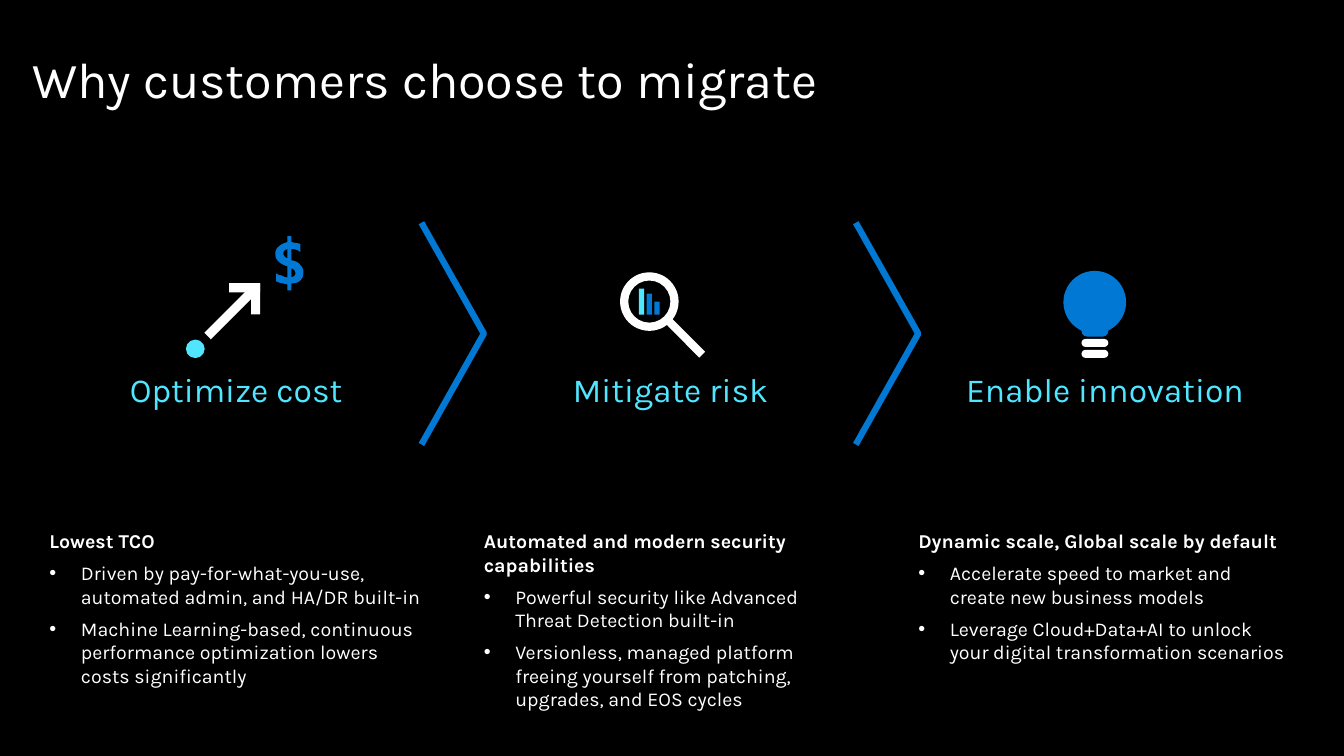
from dataclasses import dataclass

from lxml.etree import SubElement
from pptx import Presentation
from pptx.dml.color import RGBColor
from pptx.enum.shapes import MSO_SHAPE
from pptx.enum.text import MSO_ANCHOR, MSO_AUTO_SIZE, PP_ALIGN
from pptx.oxml.ns import qn
from pptx.util import Pt


@dataclass(frozen=True)
class Theme:
    font: str = "Karla"
    black: RGBColor = RGBColor(0x00, 0x00, 0x00)
    white: RGBColor = RGBColor(0xFF, 0xFF, 0xFF)
    blue: RGBColor = RGBColor(0x00, 0x78, 0xD4)
    cyan: RGBColor = RGBColor(0x50, 0xE6, 0xFF)
    title_size: int = 36
    heading_size: int = 24
    body_size: int = 14
    chevron_width: float = 4.5


def set_all(target, values):
    for name, value in values.items():
        setattr(target, name, value)


def curve(start, numbers, steps=6):
    """Points along a cubic curve given by two handles and an end."""
    points = [start, *zip(numbers[::2], numbers[1::2])]
    for step in range(1, steps + 1):
        t = step / steps
        weights = ((1 - t) ** 3, 3 * t * (1 - t) ** 2, 3 * t * t * (1 - t), t ** 3)
        yield tuple(sum(w * p[axis] for w, p in zip(weights, points)) for axis in (0, 1))


def outline(parts):
    """Flatten corners (two numbers) and curves (six numbers) into points."""
    points = [parts[0]]
    for part in parts[1:]:
        points += [part] if len(part) == 2 else curve(points[-1], part)
    return points


class SlideBuilder:
    def __init__(self, presentation, layout_index, theme):
        self.theme = theme
        self.slide = presentation.slides.add_slide(presentation.slide_layouts[layout_index])
        self.slide.background.fill.solid()
        self.slide.background.fill.fore_color.rgb = theme.black
        self.shapes = self.slide.shapes

    def start_group(self):
        self.shapes = self.slide.shapes.add_group_shape().shapes

    def end_group(self):
        self.shapes = self.slide.shapes

    def place(self, shape, left, top, width, height):
        set_all(shape, {"left": Pt(left), "top": Pt(top),
                        "width": Pt(width), "height": Pt(height)})

    def frame(self, shape, margins=(0, 0)):
        side, edge = (Pt(margin) for margin in margins)
        set_all(shape.text_frame, {
            "margin_left": side, "margin_right": side, "margin_top": edge,
            "margin_bottom": edge, "word_wrap": True, "auto_size": MSO_AUTO_SIZE.NONE,
            "vertical_anchor": MSO_ANCHOR.TOP})
        return shape.text_frame

    def fill_paragraph(self, paragraph, text, size, color, bold=False, **layout):
        paragraph.text = text
        set_all(paragraph, {"space_before": Pt(0), **layout})
        set_all(paragraph.font, {"name": self.theme.font, "size": Pt(size), "bold": bold})
        paragraph.font.color.rgb = color

    def title(self, text, *box):
        shape = self.slide.shapes.title
        self.place(shape, *box)
        self.fill_paragraph(self.frame(shape).paragraphs[0], text, self.theme.title_size,
                            self.theme.white, alignment=PP_ALIGN.LEFT)

    def heading(self, text, left, top, width, height):
        shape = self.shapes.add_textbox(Pt(left), Pt(top), Pt(width), Pt(height))
        self.fill_paragraph(self.frame(shape).paragraphs[0], text, self.theme.heading_size,
                            self.theme.cyan, alignment=PP_ALIGN.CENTER, line_spacing=0.9,
                            space_after=Pt(6))

    def bullet_list(self, placeholder_index, lines, *box):
        shape = self.slide.placeholders[placeholder_index]
        self.place(shape, *box)
        frame = self.frame(shape, (7.2, 3.6))
        for number, line in enumerate(lines):
            paragraph = frame.add_paragraph() if number else frame.paragraphs[0]
            indent = Pt(22.5) if number else 0
            properties = paragraph._p.get_or_add_pPr()
            properties.set("marL", str(indent))
            properties.set("indent", str(-indent))
            if number:
                SubElement(properties, qn("a:buFont")).set("typeface", "Arial")
                SubElement(properties, qn("a:buChar")).set("char", "•")
            else:
                SubElement(properties, qn("a:buNone"))
            self.fill_paragraph(paragraph, line, self.theme.body_size, self.theme.white,
                                bold=number == 0, alignment=PP_ALIGN.LEFT,
                                space_after=Pt(6))

    def paint(self, shape, color):
        shape.shadow.inherit = False
        shape.fill.solid()
        shape.fill.fore_color.rgb = color
        shape.line.fill.background()

    def preset(self, kind, color, left, top, width, height, adjustment=None):
        shape = self.shapes.add_shape(kind, Pt(left), Pt(top), Pt(width), Pt(height))
        if adjustment is not None:
            shape.adjustments[0] = adjustment
        self.paint(shape, color)

    def freeform(self, contours, close=True):
        contours = [[(Pt(x), Pt(y)) for x, y in contour] for contour in contours]
        builder = self.shapes.build_freeform(*contours[0][0])
        for number, contour in enumerate(contours):
            if number:
                builder.move_to(*contour[0])
            builder.add_line_segments(contour[1:], close=close)
        return builder.convert_to_shape()

    def polygon(self, color, *contours):
        self.paint(self.freeform(contours), color)

    def chevron(self, left, top, width, height):
        shape = self.freeform([[(left, top), (left + width, top + height / 2),
                                (left, top + height)]], close=False)
        shape.shadow.inherit = False
        shape.fill.background()
        shape.line.color.rgb = self.theme.blue
        shape.line.width = Pt(self.theme.chevron_width)


# Dollar sign on a grid of 0.72 pt
DOLLAR_GRID = 0.72
DOLLAR = [
    [(28, 36), (28, 39, 27, 42, 25, 44), (23, 46, 20, 47, 16, 47), (16, 54), (12, 54),
     (12, 48), (8, 47, 5, 47, 1, 45), (1, 37), (2, 38, 4, 39, 6, 39),
     (8, 40, 10, 41, 12, 41), (12, 30), (8, 29, 5, 27, 3, 25), (1, 23, 0, 21, 0, 18),
     (0, 15, 1, 12, 4, 10), (6, 8, 9, 7, 12, 6), (12, 0), (16, 0), (16, 6),
     (20, 7, 23, 7, 25, 8), (25, 16), (23, 14, 20, 13, 16, 13), (16, 24),
     (21, 25, 24, 27, 25, 29), (27, 31, 28, 33, 28, 36)],
    [(12, 22), (12, 13), (9, 14, 8, 15, 8, 17), (8, 19, 9, 21, 12, 22)],
    [(20, 37), (20, 35, 19, 33, 16, 32), (16, 41), (19, 40, 20, 39, 20, 37)],
]

COLUMNS = [
    ("Optimize cost", ["Lowest TCO",
     "Driven by pay-for-what-you-use, automated admin, and HA/DR built-in",
     "Machine Learning-based, continuous performance optimization lowers costs significantly"]),
    ("Mitigate risk", ["Automated and modern security capabilities",
     "Powerful security like Advanced Threat Detection built-in",
     "Versionless, managed platform freeing yourself from patching, upgrades, and EOS cycles"]),
    ("Enable innovation", ["Dynamic scale, Global scale by default",
     "Accelerate speed to market and create new business models",
     "Leverage Cloud+Data+AI to unlock your digital transformation scenarios"]),
]
COLUMN_STEP = 310.3
LIST_PLACEHOLDERS = (1, 2, 3)
SPARE_PLACEHOLDER = 4


def draw_cost_icon(builder):
    theme = builder.theme
    builder.start_group()
    builder.polygon(theme.white, [(179.5, 204.3), (184.1, 208.9), (150.6, 242.4), (146, 237.8)])
    builder.preset(MSO_SHAPE.OVAL, theme.cyan, 132.8, 242.6, 13.4, 13.2)
    builder.preset(MSO_SHAPE.RECTANGLE, theme.white, 179.4, 202.3, 6.5, 22.3)
    builder.preset(MSO_SHAPE.RECTANGLE, theme.white, 163.6, 202.3, 22.3, 6.5)
    builder.end_group()
    builder.polygon(theme.blue, *[
        [(196.6 + x * DOLLAR_GRID, 168.6 + y * DOLLAR_GRID) for x, y in outline(parts)]
        for parts in DOLLAR])


def draw_risk_icon(builder):
    theme = builder.theme
    builder.start_group()
    builder.polygon(theme.white, [(503.7, 251.3), (499.5, 255.5), (475, 230.7), (479.1, 226.7)])
    builder.preset(MSO_SHAPE.DONUT, theme.white, 442.9, 194.5, 41.8, 41.8, 0.14)
    for number, (height, color) in enumerate(
            [(18.7, theme.cyan), (15.1, theme.blue), (9.4, theme.blue)]):
        builder.preset(MSO_SHAPE.RECTANGLE, color, 456.4 + 5.5 * number, 224.8 - height,
                       3.8, height)
    builder.end_group()


def draw_innovation_icon(builder):
    theme = builder.theme
    builder.start_group()
    builder.preset(MSO_SHAPE.OVAL, theme.blue, 759.6, 193.5, 44.8, 44.8)
    for top, height, color in [(249.9, 5.7, theme.white), (242.1, 5.7, theme.white),
                               (232.5, 7.9, theme.blue)]:
        builder.preset(MSO_SHAPE.ROUNDED_RECTANGLE, color, 772.5, top, 19.2, height, 0.5)
    builder.end_group()


def main():
    presentation = Presentation()
    set_all(presentation, {"slide_width": Pt(960), "slide_height": Pt(540)})
    builder = SlideBuilder(presentation, 4, Theme())
    builder.title("Why customers choose to migrate", 23, 34.4, 918, 70.6)

    # Three columns: icon, heading and list
    icons = (draw_cost_icon, draw_risk_icon, draw_innovation_icon)
    for number, (heading, lines) in enumerate(COLUMNS):
        offset = number * COLUMN_STEP
        icons[number](builder)
        builder.heading(heading, 69 + offset, 267.1, 199.4, 25.9)
        builder.bullet_list(LIST_PLACEHOLDERS[number], lines, 28.1 + offset, 374.4, 281.5, 138)

    # Chevrons between the columns
    for number in range(len(COLUMNS) - 1):
        builder.chevron(301 + number * COLUMN_STEP, 159.1, 44.6, 158.4)

    spare = builder.slide.placeholders[SPARE_PLACEHOLDER]._element
    spare.getparent().remove(spare)
    presentation.save("out.pptx")


if __name__ == "__main__":
    main()
